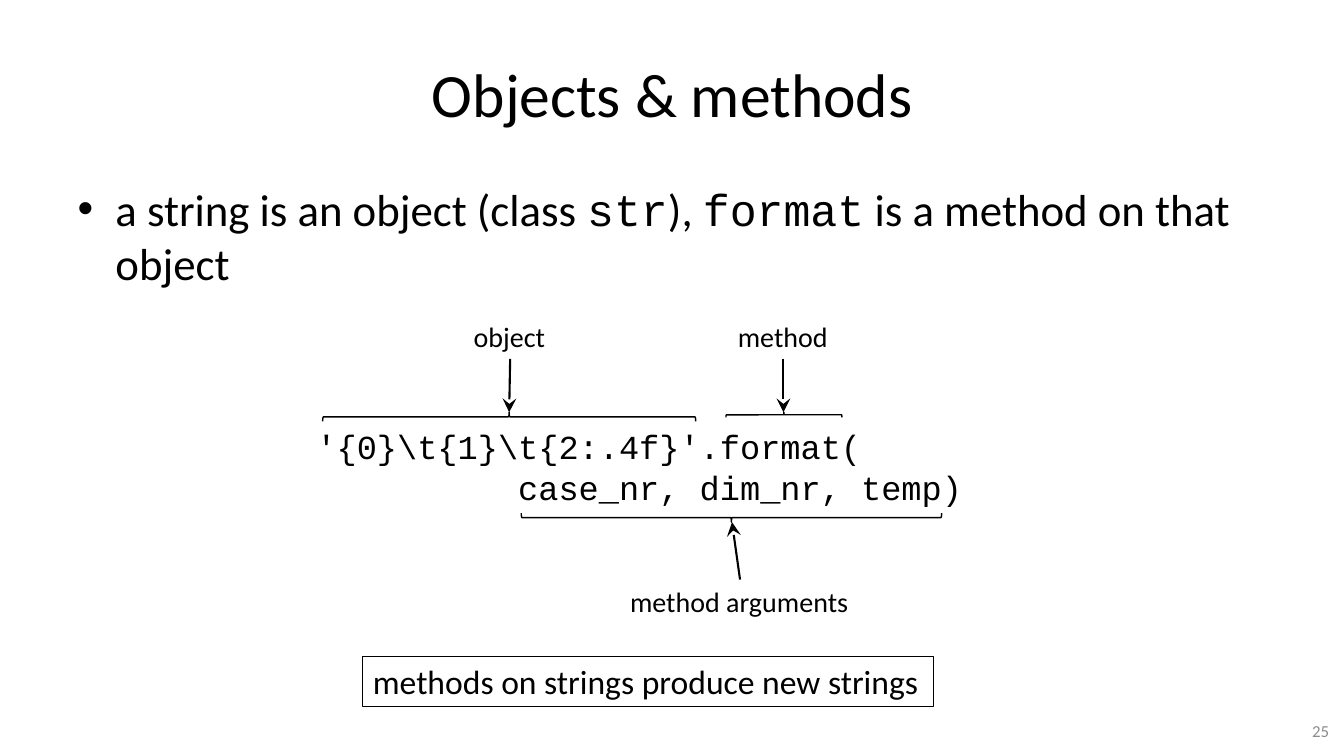
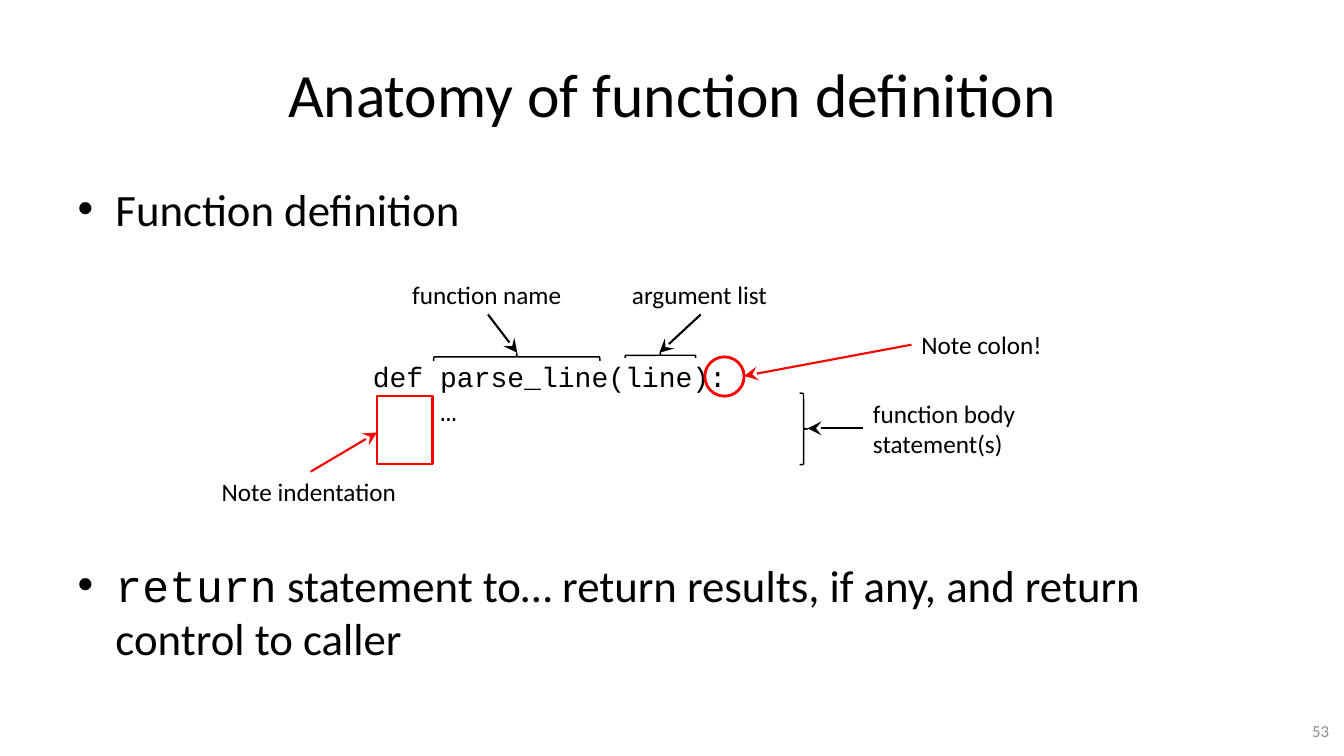
from dataclasses import dataclass

from lxml.etree import SubElement
from pptx import Presentation
from pptx.dml.color import RGBColor
from pptx.enum.shapes import MSO_CONNECTOR, MSO_SHAPE as Shape
from pptx.enum.text import MSO_ANCHOR as Anchor, MSO_AUTO_SIZE as AutoSize, PP_ALIGN as Align
from pptx.oxml.ns import qn
from pptx.util import Inches, Pt


@dataclass(frozen=True)
class Theme:
    ink: RGBColor = RGBColor(0, 0, 0)
    note: RGBColor = RGBColor(0xFF, 0, 0)
    muted: RGBColor = RGBColor(0x8C, 0x8C, 0x8C)
    sans: str = "Calibri"
    mono: str = "Courier New"
    title: int = 44
    body: int = 32
    number: int = 12
    brace_line: float = 1
    frame_line: float = 0.75
    arrow_line: float = 1.5


THEME = Theme()
TITLE_AREA = (0.67, 0.3, 12, 1.25)
BODY_AREA = (0.67, 1.75, 12, 4.95)
NUMBER_AREA = (10.17, 7.05, 3.11, 0.4)
BRACE_TURN = {"left": 0, "up": 90, "right": 180, "down": 270}

SLIDES = [
    {
        "title": "Objects & methods",
        "number": "25",
        "bullets": [
            (0, [("a string is an object (class ", THEME.sans), ("str", THEME.mono),
                 ("), ", THEME.sans), ("format", THEME.mono),
                 (" is a method on that object", THEME.sans)]),
        ],
        "code": (["'{0}\\t{1}\\t{2:.4f}'.format(", "          case_nr, dim_nr, temp)"],
                 (3.04, 4.18, 7.48, 0.91), 24),
        "label_size": 20,
        "labels": [
            (["object"], (4.6, 3.12, 0.92, 0.44)),
            (["method"], (7.22, 3.12, 1.1, 0.44)),
            (["method arguments"], (6.15, 5.75, 2.39, 0.44)),
        ],
        "braces": [
            ("up", (3.2, 4.09, 3.7, 0.09)),
            ("up", (7.2, 4.09, 1.15, 0.05)),
            ("down", (5.17, 5.09, 4.17, 0.09)),
        ],
        "arrows": [
            ((5.06, 3.56), (5.05, 4.09), THEME.ink),
            ((7.77, 3.56), (7.77, 4.09), THEME.ink),
            ((7.34, 5.75), (7.26, 5.18), THEME.ink),
        ],
        "marks": [],
        "takeaway": ("methods on strings produce new strings", (3.6, 6.51, 5.66, 0.5), 24),
    },
    {
        "title": "Anatomy of function definition",
        "number": "53",
        "bullets": [
            (0, [("Function definition", THEME.sans)]),
            (230, [("return", THEME.mono),
                   (" statement to… return results, if any, and return control to caller",
                    THEME.sans)]),
        ],
        "code": (["def parse_line(line):", "    …"], (3.6, 3.52, 3.74, 0.77), 20),
        "label_size": 18,
        "labels": [
            (["function name"], (3.99, 2.72, 1.7, 0.4)),
            (["argument list"], (6.17, 2.72, 1.56, 0.4)),
            (["function body", "statement(s)"], (8.56, 3.9, 1.63, 0.71)),
            (["Note colon!"], (9.04, 3.22, 1.41, 0.4)),
            (["Note indentation"], (2.1, 4.68, 1.95, 0.4)),
        ],
        "braces": [
            ("up", (4.3, 3.5, 1.65, 0.08)),
            ("up", (6.2, 3.5, 0.7, 0.05)),
            ("right", (7.93, 3.9, 0.08, 0.71)),
        ],
        "arrows": [
            ((4.84, 3.12), (5.13, 3.5), THEME.ink),
            ((6.95, 3.12), (6.54, 3.5), THEME.ink),
            ((8.56, 4.25), (8.01, 4.25), THEME.ink),
            ((9.04, 3.42), (7.38, 3.73), THEME.note),
            ((3.08, 4.68), (3.74, 4.29), THEME.note),
        ],
        "marks": [
            (Shape.OVAL, (6.99, 3.54, 0.39, 0.39), 2),
            (Shape.RECTANGLE, (3.74, 3.93, 0.55, 0.67), 1.5),
        ],
        "takeaway": None,
    },
]


def inches(values):
    return [Inches(value) for value in values]


def style(font, size, face=THEME.sans, color=THEME.ink):
    font.size = Pt(size)
    font.name = face
    font.color.rgb = color


def fill_placeholder(placeholder, area):
    placeholder.left, placeholder.top, placeholder.width, placeholder.height = inches(area)
    frame = placeholder.text_frame
    frame.auto_size = AutoSize.NONE
    frame.word_wrap = True
    return frame


def add_title(slide, title):
    frame = fill_placeholder(slide.shapes.title, TITLE_AREA)
    frame.vertical_anchor = Anchor.MIDDLE
    frame.text = title
    frame.paragraphs[0].alignment = Align.CENTER
    style(frame.paragraphs[0].font, THEME.title)


def add_bullets(slide, bullets):
    frame = fill_placeholder(slide.placeholders[1], BODY_AREA)
    for index, (gap, pieces) in enumerate(bullets):
        bullet = frame.add_paragraph() if index else frame.paragraphs[0]
        bullet.space_before = Pt(gap)
        style(bullet.font, THEME.body)
        for words, face in pieces:
            run = bullet.add_run()
            run.text = words
            style(run.font, THEME.body, face)


def add_text(slide, lines, area, size, face=THEME.sans, color=THEME.ink, wrap=False):
    box = slide.shapes.add_textbox(*inches(area))
    frame = box.text_frame
    frame.word_wrap = wrap
    frame.auto_size = AutoSize.SHAPE_TO_FIT_TEXT
    frame.text = "\n".join(lines)
    for line in frame.paragraphs:
        style(line.font, size, face, color)
    return box


def add_outline(slide, kind, area, color, weight):
    outline = slide.shapes.add_shape(kind, *inches(area))
    outline.shadow.inherit = False
    outline.fill.background()
    outline.line.color.rgb = color
    outline.line.width = Pt(weight)
    return outline


def add_brace(slide, side, area):
    left, top, width, height = area
    if side in ("up", "down"):
        shift = (width - height) / 2
        area = (left + shift, top - shift, height, width)
    brace = add_outline(slide, Shape.LEFT_BRACE, area, THEME.ink, THEME.brace_line)
    brace.rotation = BRACE_TURN[side]


def add_arrow(slide, start, end, color):
    arrow = slide.shapes.add_connector(MSO_CONNECTOR.STRAIGHT, *inches(start + end))
    arrow.line.color.rgb = color
    arrow.line.width = Pt(THEME.arrow_line)
    properties = arrow.element.spPr
    SubElement(properties.find(qn("a:ln")), qn("a:tailEnd"), type="stealth", w="lg", len="lg")
    SubElement(properties, qn("a:effectLst"))


def add_number(slide, number):
    box = add_text(slide, [number], NUMBER_AREA, THEME.number, color=THEME.muted, wrap=True)
    box.text_frame.auto_size = AutoSize.NONE
    box.text_frame.vertical_anchor = Anchor.MIDDLE
    box.text_frame.paragraphs[0].alignment = Align.RIGHT


def build_slide(deck, content):
    slide = deck.slides.add_slide(deck.slide_layouts[1])
    add_title(slide, content["title"])
    add_bullets(slide, content["bullets"])
    lines, area, size = content["code"]
    add_text(slide, lines, area, size, THEME.mono, wrap=area[2] > 5)
    for side, area in content["braces"]:
        add_brace(slide, side, area)
    for kind, area, weight in content["marks"]:
        add_outline(slide, kind, area, THEME.note, weight)
    for start, end, color in content["arrows"]:
        add_arrow(slide, start, end, color)
    for lines, area in content["labels"]:
        add_text(slide, lines, area, content["label_size"])
    if content["takeaway"]:
        sentence, area, size = content["takeaway"]
        box = add_text(slide, [sentence], area, size)
        box.line.color.rgb = THEME.ink
        box.line.width = Pt(THEME.frame_line)
    add_number(slide, content["number"])


def main():
    deck = Presentation()
    deck.slide_width, deck.slide_height = inches((13.33, 7.5))
    for content in SLIDES:
        build_slide(deck, content)
    deck.save("out.pptx")


if __name__ == "__main__":
    main()
